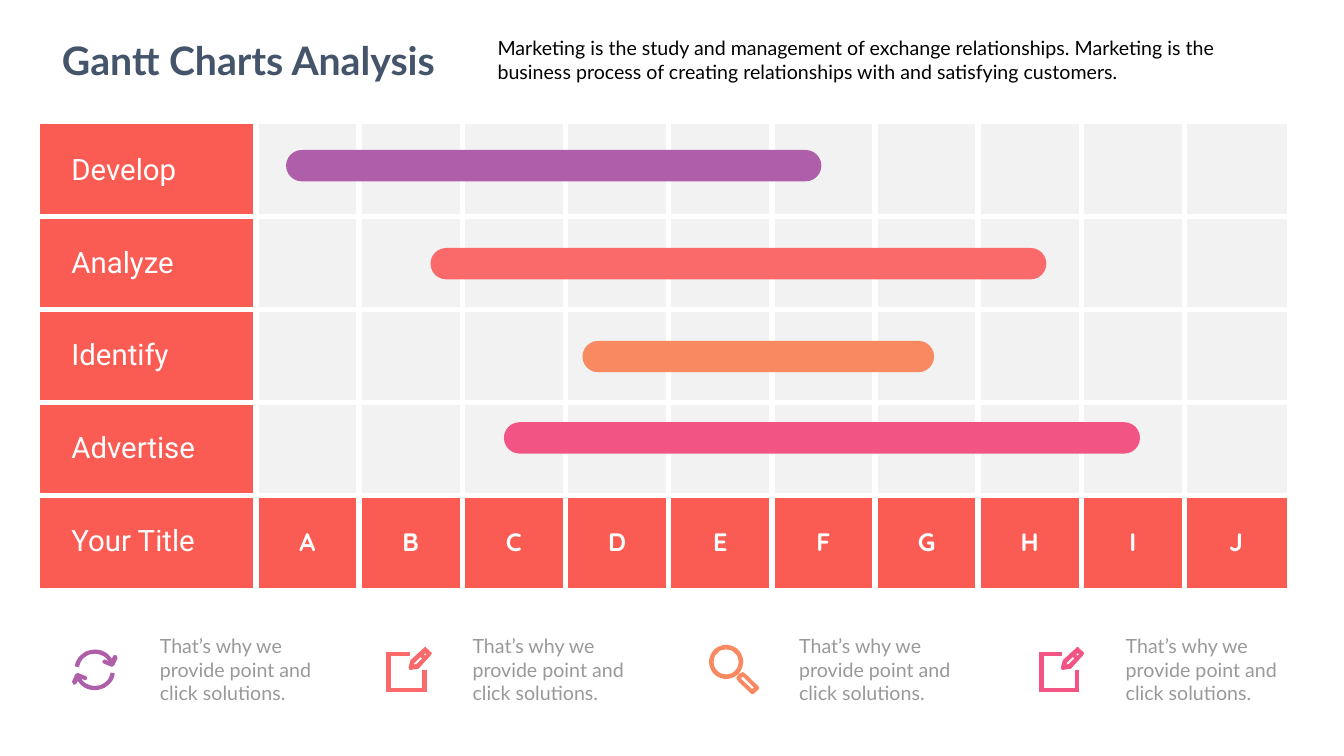
from math import cos, radians, sin

from lxml import etree
from pptx import Presentation
from pptx.dml.color import RGBColor
from pptx.enum import shapes, text
from pptx.oxml import ns
from pptx.util import Cm, Pt

WHITE = RGBColor(0xFF, 0xFF, 0xFF)
BLACK = RGBColor(0x00, 0x00, 0x00)
SLATE = RGBColor(0x44, 0x54, 0x6A)
GREY = RGBColor(0x99, 0x99, 0x99)
PALE = RGBColor(0xF2, 0xF2, 0xF2)
RED = RGBColor(0xFA, 0x5B, 0x52)
PURPLE = RGBColor(0xAF, 0x5F, 0xAA)
CORAL = RGBColor(0xFA, 0x6A, 0x6A)
ORANGE = RGBColor(0xF8, 0x89, 0x60)
PINK = RGBColor(0xF2, 0x54, 0x84)


def write(frame, words, font="Lato", size=14, color=BLACK, bold=False, align=text.PP_ALIGN.LEFT):
    para = frame.paragraphs[0]
    para.alignment = align
    span = para.add_run()
    span.text = words
    span.font.name = font
    span.font.size = Pt(size)
    span.font.bold = bold
    span.font.color.rgb = color


def arc(center, radius, start, stop, step):
    return [(center[0] + radius * cos(radians(angle)), center[1] + radius * sin(radians(angle)))
            for angle in range(start, stop, step)]


deck = Presentation()
deck.slide_width, deck.slide_height = Cm(33.87), Cm(19.05)
page = deck.slides.add_slide(deck.slide_layouts[5])

# Title and introduction
title = page.shapes.title
title.left, title.top, title.width, title.height = Cm(0.99), Cm(0.79), Cm(10.54), Cm(1.45)
title.text_frame.word_wrap = False
title.text_frame.auto_size = text.MSO_AUTO_SIZE.SHAPE_TO_FIT_TEXT
title.text_frame.vertical_anchor = text.MSO_ANCHOR.TOP
write(title.text_frame, "Gantt Charts Analysis", size=28, color=SLATE, bold=True,
      align=text.PP_ALIGN.CENTER)

intro = page.shapes.add_textbox(Cm(12.29), Cm(0.79), Cm(19.86), Cm(1.45))
intro.text_frame.word_wrap = True
write(intro.text_frame, "Marketing is the study and management of exchange relationships. "
      "Marketing is the business process of creating relationships with and satisfying customers.")

# Schedule grid: stages down the side, periods along the bottom
stages = ["Develop", "Analyze", "Identify", "Advertise", "Your Title"]
periods = "ABCDEFGHIJ"
last_row, last_column = len(stages) - 1, len(periods)
grid = page.shapes.add_table(len(stages), len(periods) + 1,
                             Cm(0.99), Cm(3.12), Cm(31.46), Cm(11.7)).table
grid.first_row = grid.horz_banding = False
for row in grid.rows:
    row.height = Cm(2.34)
for index, column in enumerate(grid.columns):
    column.width = Cm(2.6) if index else Cm(5.46)

for r, stage in enumerate(stages):
    for c in range(last_column + 1):
        cell = grid.cell(r, c)
        cell.vertical_anchor = text.MSO_ANCHOR.MIDDLE
        cell.margin_left = Cm(0.15) if c else Cm(0.81)
        cell.margin_right = Cm(0.15)
        cell.margin_top = cell.margin_bottom = Cm(0.08)
        cell.fill.solid()
        cell.fill.fore_color.rgb = RED if c == 0 or r == last_row else PALE
        if c == 0:
            write(cell.text_frame, stage, font="Roboto", size=21, color=WHITE)
        elif r == last_row:
            write(cell.text_frame, periods[c - 1], font="Quicksand", size=18, color=WHITE,
                  bold=True, align=text.PP_ALIGN.CENTER)
        # White gaps on the inner sides, placed ahead of the fill
        inner = {"lnL": c > 0, "lnR": c < last_column, "lnT": r > 0, "lnB": r < last_row}
        properties = cell._tc.get_or_add_tcPr()
        for place, side in enumerate(side for side, present in inner.items() if present):
            line = etree.Element(ns.qn(f"a:{side}"), w=str(Pt(4.5)))
            fill = etree.SubElement(line, ns.qn("a:solidFill"))
            etree.SubElement(fill, ns.qn("a:srgbClr"), val=str(WHITE))
            properties.insert(place, line)

# Captions under the grid
for left in (3.78, 11.66, 19.89, 28.12):
    caption = page.shapes.add_textbox(Cm(left), Cm(15.85), Cm(4.75), Cm(2.06))
    caption.text_frame.word_wrap = True
    write(caption.text_frame, "That’s why we provide point and click solutions.", color=GREY)

# Icon outlines, in hundredths of a centimetre
hub = (56, 50)
upper_arrow = (arc(hub, 50, 191, 332, 10)
               + [(99, 25), (104, 15), (109, 14), (112, 20), (104, 38), (99, 41),
                  (79, 33), (76, 29), (80, 25), (91, 30)]
               + arc(hub, 42, 331, 190, -10))
lower_arrow = [(2 * hub[0] - x, 2 * hub[1] - y) for x, y in upper_arrow]
sheet = [(100, 58), (100, 112), (0, 112), (0, 13), (56, 13), (56, 20),
         (10, 20), (10, 104), (91, 104), (91, 58)]
pencil = [(112, 15), (99, 3), (97, 0), (94, 3), (61, 33), (56, 51), (58, 56), (79, 53), (109, 20)]
pencil_top = [(97, 23), (91, 18), (97, 13), (102, 18)]
pencil_body = [(76, 43), (66, 46), (69, 38), (84, 23), (91, 28)]
rim = arc((42, 42), 42, 0, 360, 10)
lens = arc((42, 42), 33, 360, 0, -10)
handle = [(107, 122), (74, 91), (69, 83), (74, 74), (84, 69), (91, 74),
          (122, 104), (124, 108), (122, 111), (110, 122)]
handle_hole = [(84, 79), (79, 80), (79, 86), (107, 112), (114, 107), (86, 79)]

refresh = [[upper_arrow], [lower_arrow]]
edit = [[sheet], [pencil, pencil_top, pencil_body]]
search = [[handle, handle_hole], [rim, lens]]
icons = [(refresh, 1.83, 16.38, PURPLE), (edit, 9.75, 16.31, CORAL),
         (search, 17.88, 16.26, ORANGE), (edit, 26.19, 16.31, PINK)]
for parts, left, top, color in icons:
    for contours in parts:
        builder = page.shapes.build_freeform(*contours[0][0], scale=Cm(0.01))
        for contour in contours:
            builder.move_to(*contour[0])
            builder.add_line_segments(contour[1:], close=True)
        icon = builder.convert_to_shape(Cm(left), Cm(top))
        icon.shadow.inherit = False
        icon.fill.solid()
        icon.fill.fore_color.rgb = color
        icon.line.color.rgb = color
        icon.line.width = Pt(0.75)

# Gantt bars
bars = [(12.7, 10.64, 16.03, PINK), (14.68, 8.59, 8.86, ORANGE),
        (10.85, 6.25, 15.52, CORAL), (7.21, 3.78, 13.49, PURPLE)]
for left, top, width, color in bars:
    bar = page.shapes.add_shape(shapes.MSO_SHAPE.ROUNDED_RECTANGLE,
                                Cm(left), Cm(top), Cm(width), Cm(0.79))
    bar.adjustments[0] = 0.5
    bar.shadow.inherit = False
    bar.fill.solid()
    bar.fill.fore_color.rgb = color
    bar.line.fill.background()

deck.save("out.pptx")
